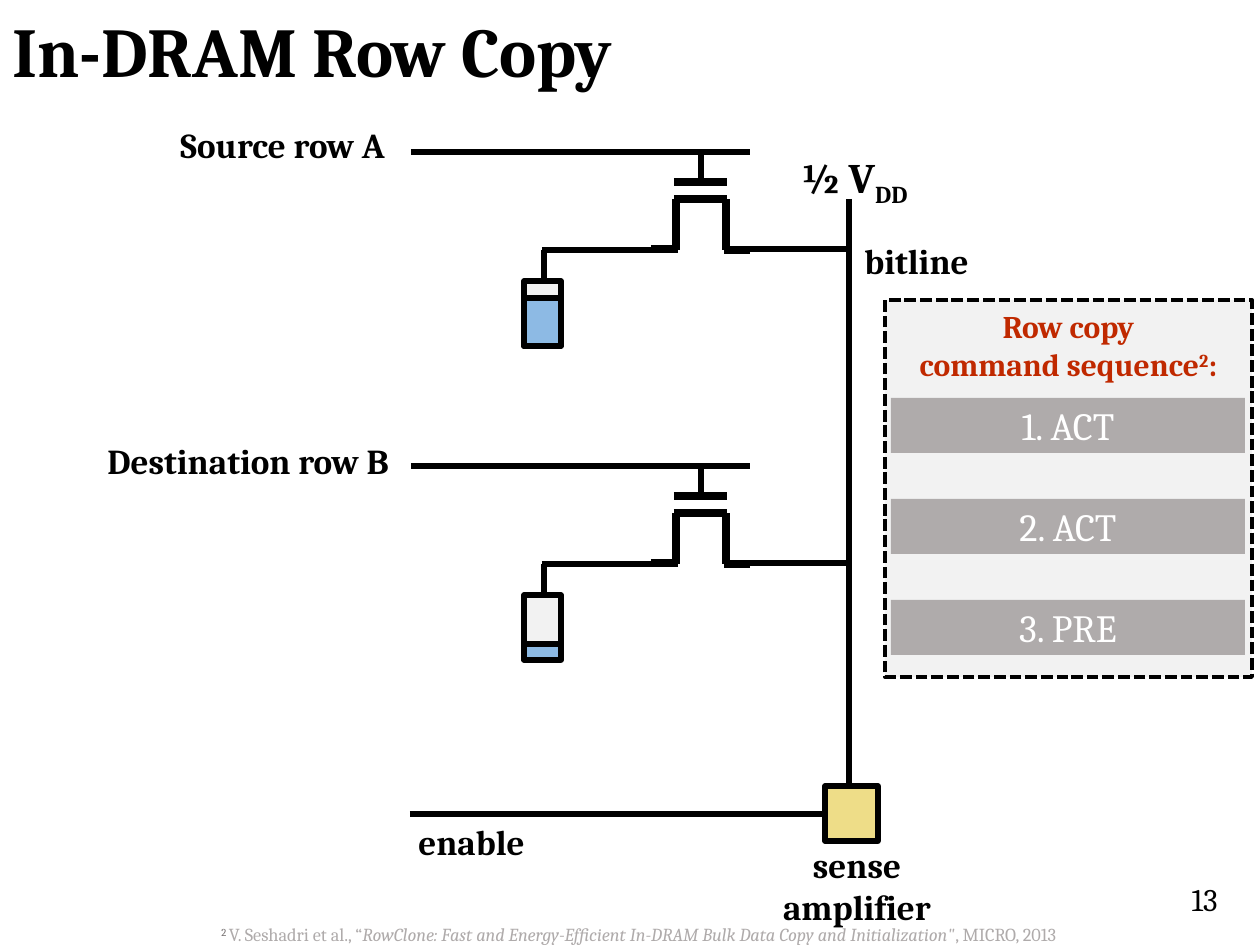
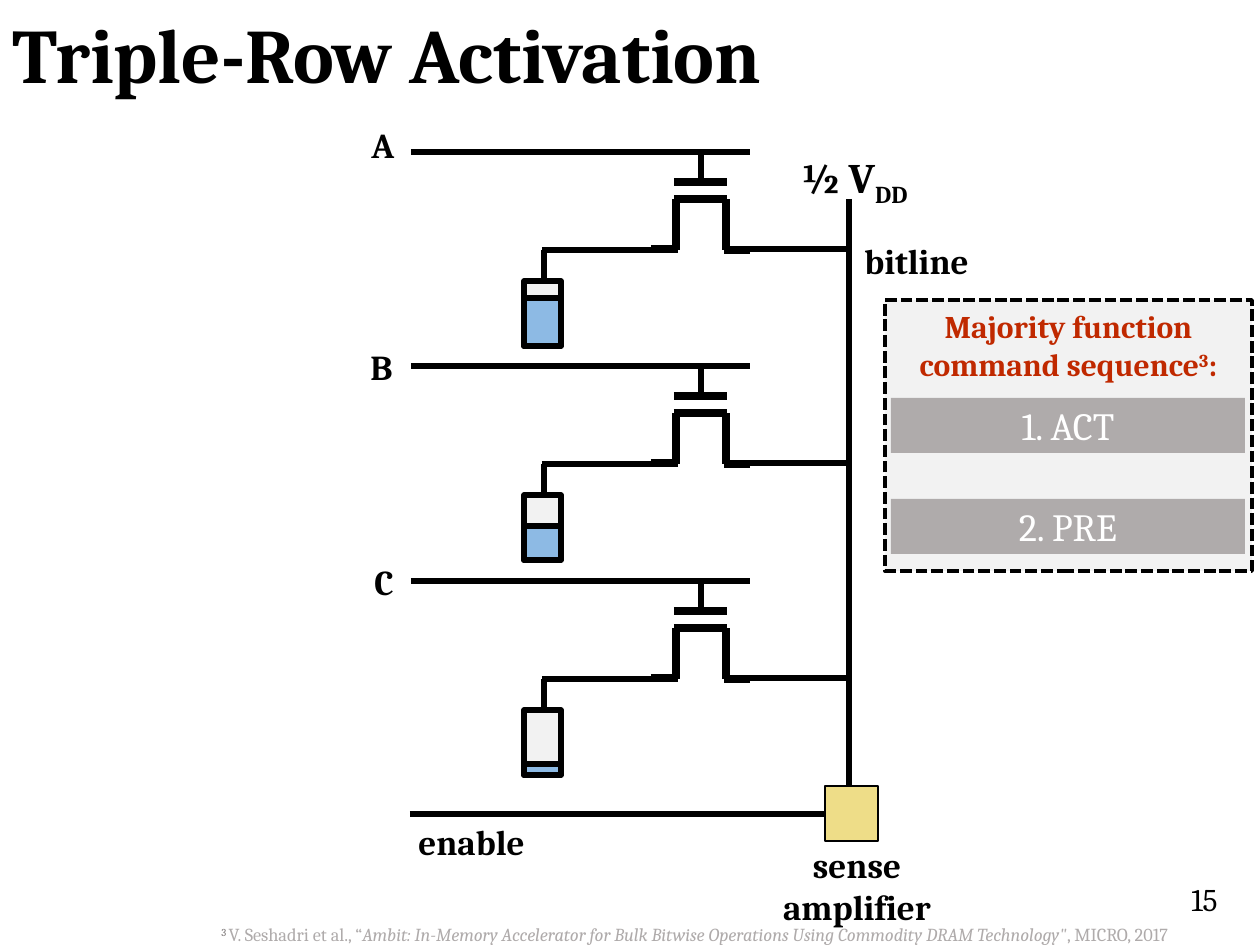
from dataclasses import dataclass

from lxml import etree
from pptx import Presentation
from pptx.dml.color import RGBColor
from pptx.enum.dml import MSO_LINE
from pptx.enum.shapes import MSO_CONNECTOR, MSO_SHAPE
from pptx.enum.text import MSO_ANCHOR, MSO_AUTO_SIZE, PP_ALIGN
from pptx.oxml.ns import qn
from pptx.util import Pt

PIXEL = 914400 / 126
TITLE_ONLY = 5
STRAIGHT, RECTANGLE = MSO_CONNECTOR.STRAIGHT, MSO_SHAPE.RECTANGLE
SHORT_DASH = MSO_LINE.SQUARE_DOT
LEFT, CENTER, RIGHT = PP_ALIGN.LEFT, PP_ALIGN.CENTER, PP_ALIGN.RIGHT
TOP, MIDDLE = MSO_ANCHOR.TOP, MSO_ANCHOR.MIDDLE
GROW, FIXED = MSO_AUTO_SIZE.SHAPE_TO_FIT_TEXT, MSO_AUTO_SIZE.NONE


@dataclass(frozen=True)
class Theme:
    """Colours, font and sizes shared by both slides."""
    font: str = "Cambria"
    ink: RGBColor = RGBColor(0, 0, 0)
    white: RGBColor = RGBColor(255, 255, 255)
    panel: RGBColor = RGBColor(0xF2, 0xF2, 0xF2)
    command: RGBColor = RGBColor(0xAF, 0xAB, 0xAB)
    charge: RGBColor = RGBColor(0x8D, 0xBA, 0xE4)
    amplifier: RGBColor = RGBColor(0xEE, 0xDD, 0x88)
    accent: RGBColor = RGBColor(0xC0, 0x29, 0x00)
    note_mark: RGBColor = RGBColor(0x76, 0x71, 0x71)
    wire: float = 3
    transistor: float = 4.5
    dash: float = 2.25
    note_size: float = 10.5
    heading_size: int = 18
    label_size: int = 20
    command_size: int = 22
    voltage_size: int = 24


theme = Theme()
LABEL = {"size": theme.label_size, "bold": True}


def add_box(shapes, bounds, paragraphs=(), style=None, fill=None, line=0,
            align=LEFT, shape=None, **frame_format):
    """Place a rectangle, text box or given shape and write its runs."""
    bounds = [round(value * PIXEL) for value in bounds]
    if shape is not None:
        shape.left, shape.top, shape.width, shape.height = bounds
    elif fill is None:
        shape = shapes.add_textbox(*bounds)
    else:
        shape = shapes.add_shape(RECTANGLE, *bounds)
        shape.shadow.inherit = False
        shape.fill.solid()
        shape.fill.fore_color.rgb = fill
        if line:
            shape.line.color.rgb = theme.ink
            shape.line.width = Pt(line)
        else:
            shape.line.fill.background()
    for name, value in ({"word_wrap": True} | frame_format).items():
        setattr(shape.text_frame, name, value)
    for index, runs in enumerate(paragraphs):
        frame = shape.text_frame
        paragraph = frame.add_paragraph() if index else frame.paragraphs[0]
        paragraph.alignment = align
        for text, changes in runs:
            run = paragraph.add_run()
            run.text = text
            values = {"name": theme.font, "color": theme.ink} | style | changes
            run.font.color.rgb = values.pop("color")
            if "baseline" in values:
                run.font._element.set("baseline", str(values.pop("baseline") * 1000))
            values["size"] = Pt(values["size"])
            for name, value in values.items():
                setattr(run.font, name, value)
    return shape


def add_wire(shapes, start_x, start_y, end_x, end_y, width=theme.wire):
    """Draw a straight black line without shadow."""
    ends = [round(value * PIXEL) for value in (start_x, start_y, end_x, end_y)]
    wire = shapes.add_connector(STRAIGHT, *ends)
    wire.line.color.rgb = theme.ink
    wire.line.width = Pt(width)
    etree.SubElement(wire._element.spPr, qn("a:effectLst"))


# Lines of one memory cell; heights count from its word line.
CELL_WIRES = [
    (411, 0, 750, 0, theme.wire),             # word line
    (701, 30, 701, 0, theme.wire),            # gate lead
    (544, 98, 544, 136, theme.wire),          # capacitor lead
    (651, 97, 678, 97, theme.transistor),     # left foot
    (676, 98, 676, 47, theme.transistor),     # left leg
    (674, 30, 727, 30, theme.transistor),     # gate
    (726, 98, 726, 47, theme.transistor),     # right leg
    (674, 47, 727, 47, theme.transistor),     # channel
    (724, 98, 750, 98, theme.transistor),     # right foot
    (542, 98, 664, 98, theme.wire),           # wire to capacitor
    (727, 97, 849, 97, theme.wire),           # wire to bitline
]
CAPACITOR_LEFT, CAPACITOR_WIDTH, CAPACITOR_HEIGHT = 524, 37, 65
CAPACITOR_BOTTOM = 194
COMMAND_TOP, COMMAND_PITCH = 398, 101

# Rows: label, its left, top and width, word line height, charge height.
SLIDES = [
    {"title": "In-DRAM Row Copy", "title_size": 40, "number": "13",
     "rows": [("Source row A", 168, 117, 238, 152, 48),
              ("Destination row B", 95, 433, 316, 466, 16)],
     "amplifier_line": 3, "panel_height": 377,
     "heading": "Row copy", "commands": ["ACT", "ACT", "PRE"], "note": "2",
     "paper": "RowClone: Fast and Energy-Efficient In-DRAM Bulk Data Copy "
              "and Initialization\"", "year": "2013"},
    {"title": "Triple-Row Activation", "title_size": 44, "number": "15",
     "rows": [("A", 359, 117, 48, 152, 48),
              ("B", 358, 339, 48, 366, 34),
              ("C", 362, 554, 47, 581, 11)],
     "amplifier_line": 1.5, "panel_height": 271,
     "heading": "Majority function", "commands": ["ACT", "PRE"], "note": "3",
     "paper": "Ambit: In-Memory Accelerator for Bulk Bitwise Operations "
              "Using Commodity DRAM Technology\"", "year": "2017"},
]

presentation = Presentation()
presentation.slide_width = round(1260 * PIXEL)
presentation.slide_height = round(945 * PIXEL)

for content in SLIDES:
    slide = presentation.slides.add_slide(presentation.slide_layouts[TITLE_ONLY])
    shapes = slide.shapes
    title = add_box(shapes, (0, 11, 1239, 102), [[(content["title"], {})]],
                    {"size": content["title_size"], "bold": True},
                    shape=shapes.title, vertical_anchor=TOP, auto_size=FIXED)
    title.text_frame.paragraphs[0].line_spacing = 0.9

    # Bitline and sense amplifier
    add_wire(shapes, 849, 199, 849, 786)
    add_box(shapes, (825, 786, 53, 55), fill=theme.amplifier,
            line=content["amplifier_line"])
    add_box(shapes, (722, 837, 270, 97), [[("sense", {})], [("amplifier", {})]],
            LABEL, align=CENTER, auto_size=GROW)
    add_wire(shapes, 410, 814, 825, 814)
    add_box(shapes, (406, 814, 135, 55), [[("enable", {})]], LABEL,
            word_wrap=False, auto_size=GROW)
    add_box(shapes, (789, 145, 181, 63), [[("½ V", {}), ("DD", {"baseline": -25})]],
            {"size": theme.voltage_size, "bold": True}, auto_size=GROW)
    add_box(shapes, (852, 233, 132, 55), [[("bitline", {})]], LABEL,
            word_wrap=False, auto_size=GROW)

    # Memory rows
    for label, left, top, width, word_line, charge in content["rows"]:
        row = shapes.add_group_shape().shapes
        for start_x, start_y, end_x, end_y, weight in CELL_WIRES:
            add_wire(row, start_x, word_line + start_y, end_x,
                     word_line + end_y, weight)
        bottom = word_line + CAPACITOR_BOTTOM
        for height, fill in ((CAPACITOR_HEIGHT, theme.panel), (charge, theme.charge)):
            add_box(row, (CAPACITOR_LEFT, bottom - height, CAPACITOR_WIDTH, height),
                    fill=fill, line=theme.wire)
        add_box(row, (left, top, width, 55), [[(label, {})]], LABEL,
                word_wrap=False, auto_size=GROW)

    # Command sequence
    panel = add_box(shapes, (885, 300, 367, content["panel_height"]),
                    fill=theme.panel, line=theme.dash)
    panel.line.dash_style = SHORT_DASH
    for index, command in enumerate(content["commands"]):
        add_box(shapes, (891, COMMAND_TOP + index * COMMAND_PITCH, 354, 55),
                [[(f"{index + 1}. {command}", {})]],
                {"size": theme.command_size, "color": theme.white},
                fill=theme.command, align=CENTER, vertical_anchor=MIDDLE,
                margin_left=0, margin_right=0, margin_top=0, margin_bottom=0)
    add_box(shapes, (885, 301, 367, 89),
            [[(content["heading"], {})],
             [("command sequence", {}), (content["note"], {"baseline": 30}), (":", {})]],
            {"size": theme.heading_size, "bold": True, "color": theme.accent},
            align=CENTER, auto_size=GROW)

    # Page number and footnote
    add_box(shapes, (757, 874, 473, 50), [[(content["number"], {})]],
            {"size": theme.heading_size}, align=RIGHT)
    add_box(shapes, (209, 917, 1026, 37),
            [[(content["note"] + " ", {"color": theme.note_mark, "baseline": 30}),
              ("V. Seshadri et al., “", {}),
              (content["paper"], {"italic": True}),
              (f", MICRO, {content['year']}", {})]],
            {"size": theme.note_size, "color": theme.command}, auto_size=GROW)

presentation.save("out.pptx")
